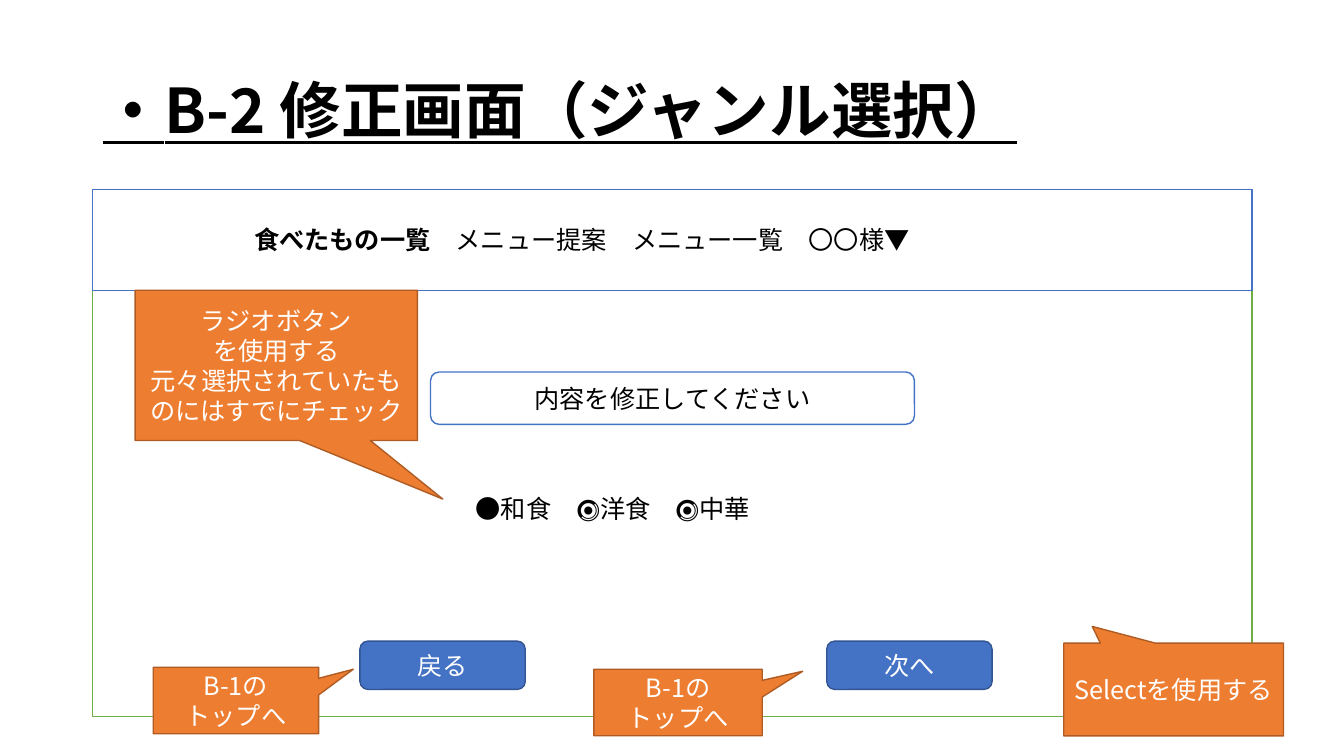
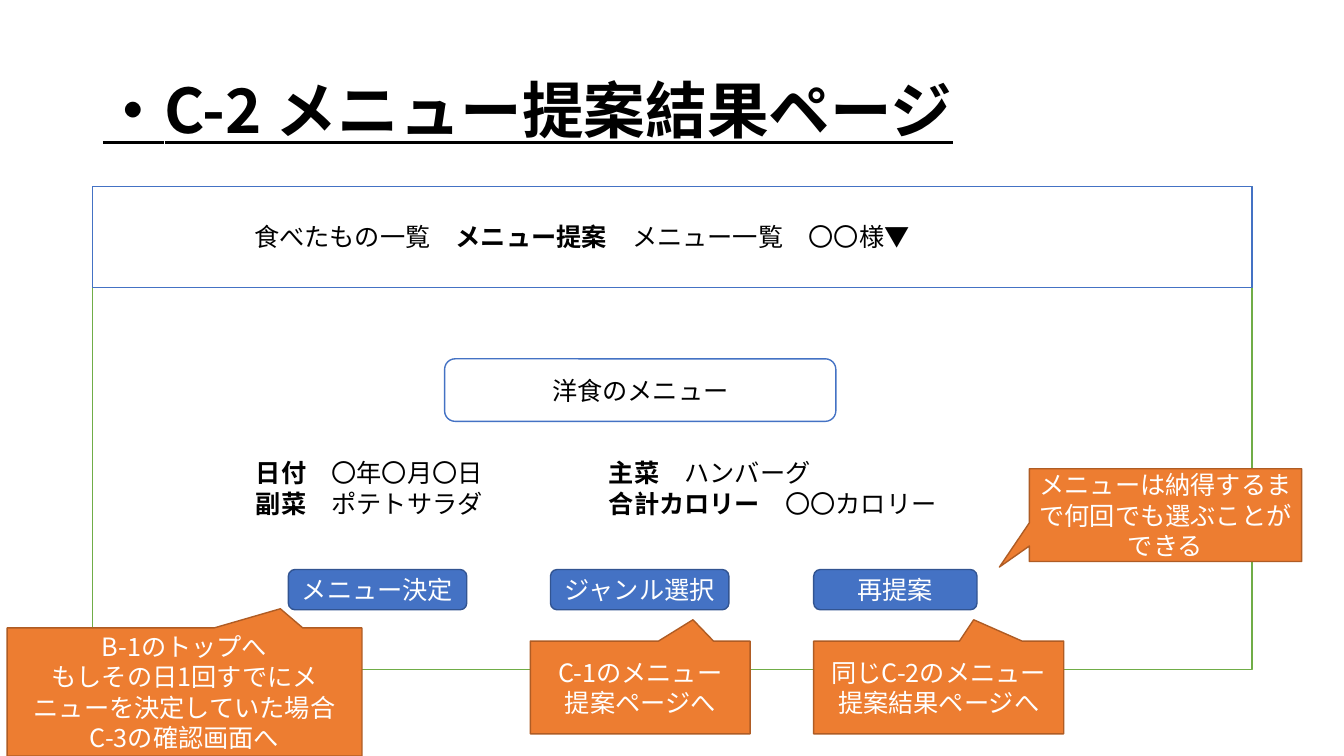
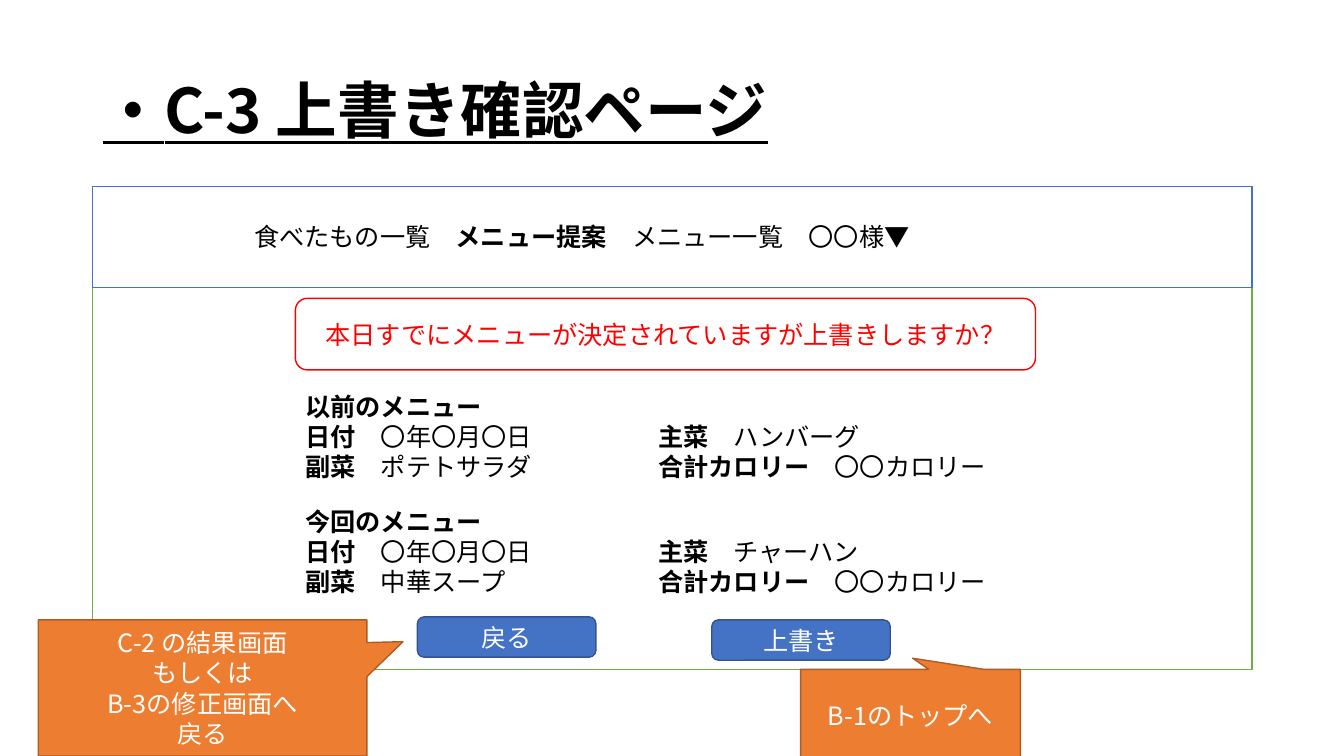
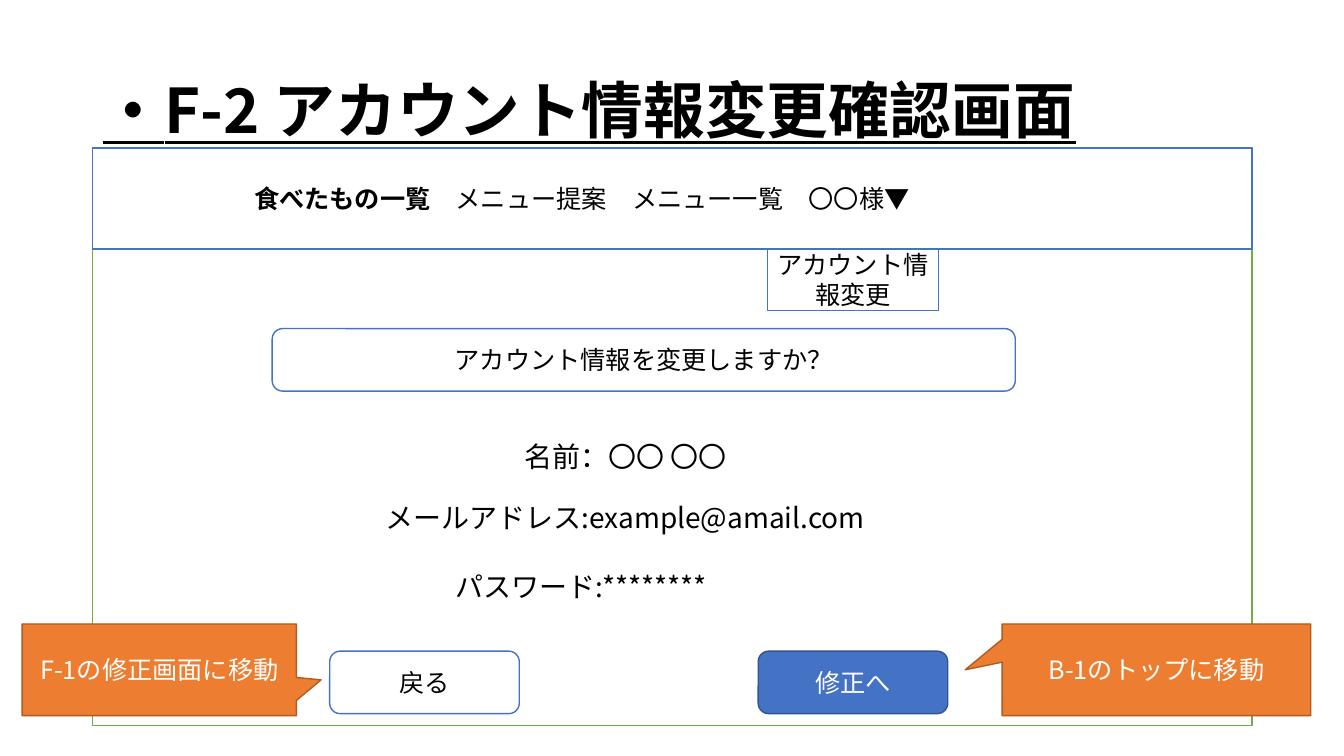
from lxml import etree
from pptx import Presentation
from pptx.dml.color import RGBColor
from pptx.enum import shapes, text
from pptx.oxml import ns
from pptx.util import Inches, Pt

FACE = "Noto Sans CJK JP"
BLACK, WHITE, RED = "000000", "FFFFFF", "FF0000"
BLUE, NAVY, GREEN = "4472C4", "325491", "70AD47"
RUST, BROWN = "ED7D31", "AF5C24"
KIND = shapes.MSO_SHAPE
LEFT, MID = text.PP_ALIGN.LEFT, text.PP_ALIGN.CENTER
TABS = ["食べたもの一覧", "メニュー提案", "メニュー一覧", "〇〇様▼"]


def paint(code):
    return RGBColor.from_string(code)


class Deck:
    def __init__(self):
        self.prs = Presentation()
        self.prs.slide_width = Inches(13.33)
        self.prs.slide_height = Inches(7.5)
        self.slide = None

    def fill(self, frame, words, ink=BLACK, size=18, align=MID, face=FACE, stop=None):
        frame.word_wrap = True
        for i, line in enumerate(words.split("\n")):
            para = frame.paragraphs[0] if i == 0 else frame.add_paragraph()
            para.alignment = align
            if stop:
                tabs = etree.SubElement(para._p.get_or_add_pPr(), ns.qn("a:tabLst"))
                etree.SubElement(tabs, ns.qn("a:tab"), pos=str(Inches(stop)), algn="l")
            for j, piece in enumerate(line.split("|")):
                if piece:
                    run = para.add_run()
                    run.text = piece
                    font = run.font
                    font.size, font.name, font.bold = Pt(size), face, j % 2 == 1
                    font.color.rgb = paint(ink)
                    etree.SubElement(font._element, ns.qn("a:ea"), typeface=FACE)

    def shape(self, kind, box, fill, line, words="", ink=BLACK, align=MID, face=FACE):
        item = self.slide.shapes.add_shape(kind, *map(Inches, box))
        item.shadow.inherit = False
        item.fill.solid()
        item.fill.fore_color.rgb = paint(fill)
        item.line.color.rgb = paint(line)
        item.line.width = Pt(1)
        item.text_frame.vertical_anchor = text.MSO_ANCHOR.MIDDLE
        if words:
            self.fill(item.text_frame, words, ink, align=align, face=face)
        return item

    def page(self, title, top, high, tab):
        self.slide = self.prs.slides.add_slide(self.prs.slide_layouts[5])
        head = self.slide.shapes.title
        head.left, head.top, head.width, head.height = map(Inches, (0.92, 0.4, 11.5, 1.45))
        frame = head.text_frame
        frame.auto_size = text.MSO_AUTO_SIZE.NONE
        frame.vertical_anchor = text.MSO_ANCHOR.MIDDLE
        self.fill(frame, f"|{title}", size=44, align=LEFT)
        para = frame.paragraphs[0]
        para.line_spacing = 0.9
        para.runs[0].font.underline = True
        self.shape(KIND.RECTANGLE, (0.92, top, 11.5, high), WHITE, GREEN)
        words = "　".join(f"|{name}|" if name == tab else name for name in TABS)
        bar = self.shape(KIND.RECTANGLE, (0.92, top, 11.5, 1), WHITE, BLUE, words, align=LEFT)
        bar.text_frame.margin_left = Inches(1.6)

    def button(self, words, *box):
        self.shape(KIND.ROUNDED_RECTANGLE, box, BLUE, NAVY, words, WHITE)

    def panel(self, words, *box, line=BLUE, ink=BLACK):
        self.shape(KIND.ROUNDED_RECTANGLE, box, WHITE, line, words, ink)

    def note(self, words, tip, *box, face=FACE):
        item = self.shape(KIND.RECTANGULAR_CALLOUT, box, RUST, BROWN, words, WHITE, face=face)
        item.adjustments[0], item.adjustments[1] = tip

    def label(self, words, *box, size=18, stop=None):
        item = self.slide.shapes.add_textbox(*map(Inches, box))
        self.fill(item.text_frame, words, size=size, align=LEFT, stop=stop)

    def menu(self, left, top, main, side, head=""):
        start = f"|{head}\n" if head else ""
        self.label(f"{start}|日付　|〇年〇月〇日\t|主菜　|{main}\n"
                   f"|副菜　|{side}\t|合計カロリー　|〇〇カロリー",
                   left, top, 7.77, 1.01 if head else 0.71, stop=3.5)


def edit(deck):
    deck.page("・B-2 修正画面（ジャンル選択）", 1.88, 5.23, TABS[0])
    deck.panel("内容を修正してください", 4.27, 3.69, 4.8, 0.52)
    deck.label("●和食　🔘洋食　🔘中華", 4.62, 4.84, 3.67, 0.4)
    for words, left in (("戻る", 3.57), ("次へ", 8.2)):
        deck.button(words, left, 6.36, 1.64, 0.48)
    deck.note("Selectを使用する", (-0.37, -0.68), 10.55, 6.38, 2.18, 0.92)
    deck.note("B-1の\nトップへ", (0.71, -0.47), 1.52, 6.62, 1.64, 0.66)
    deck.note("B-1の\nトップへ", (0.74, -0.47), 5.89, 6.64, 1.67, 0.66)
    deck.note("ラジオボタン\nを使用する\n元々選択されていたものにはすでにチェック",
              (0.59, 0.89), 1.34, 2.88, 2.8, 1.49)


def offer(deck):
    deck.page("・C-2 メニュー提案結果ページ", 1.85, 4.79, TABS[1])
    deck.panel("洋食のメニュー", 4.41, 3.56, 3.88, 0.62)
    deck.menu(2.44, 4.49, "ハンバーグ", "ポテトサラダ")
    for words, left, wide in (("メニュー決定", 2.86, 1.77), ("ジャンル選択", 5.46, 1.77),
                              ("再提案", 8.07, 1.62)):
        deck.button(words, left, 5.65, wide, 0.4)
    deck.note("B-1のトップへ\nもしその日1回すでにメニューを決定していた場合\nC-3の確認画面へ",
              (0.27, -0.65), 0.07, 6.23, 3.52, 1.27)
    deck.note("C-1のメニュー\n提案ページへ", (0.24, -0.73), 5.26, 6.36, 2.18, 0.92)
    deck.note("同じC-2のメニュー\n提案結果ページへ", (0.14, -0.73), 8.07, 6.36, 2.48, 0.92)
    deck.note("メニューは納得するまで何回でも選ぶことができる", (-0.61, 0.56),
              10.21, 4.65, 2.7, 0.92, face="Open Sans")


def check(deck):
    deck.page("・C-3 上書き確認ページ", 1.85, 4.79, TABS[1])
    deck.panel("本日すでにメニューが決定されていますが上書きしますか？",
               2.93, 2.96, 7.34, 0.71, line=RED, ink=RED)
    deck.menu(2.93, 3.83, "ハンバーグ", "ポテトサラダ", "以前のメニュー")
    deck.menu(2.93, 4.97, "チャーハン", "中華スープ", "今回のメニュー")
    deck.button("戻る", 4.14, 6.12, 1.77, 0.4)
    deck.button("上書き", 7.06, 6.15, 1.77, 0.4)
    deck.note("C-2 の結果画面\nもしくは\nB-3の修正画面へ\n戻る",
              (0.61, -0.34), 0.38, 6.15, 3.26, 1.35)
    deck.note("B-1のトップへ", (0.01, -0.62), 7.94, 6.64, 2.18, 0.92)


def account(deck):
    deck.page("・F-2 アカウント情報変更確認画面", 1.47, 5.73, TABS[0])
    deck.shape(KIND.RECTANGLE, (7.61, 2.47, 1.7, 0.61), WHITE, BLUE, "アカウント情報変更")
    deck.panel("アカウント情報を変更しますか？", 2.7, 3.26, 7.37, 0.62)
    for words, left, top, wide in (("名前：〇〇 〇〇", 5.1, 4.31, 4.97),
                                   ("メールアドレス:example@amail.com", 3.72, 4.92, 5.89),
                                   ("パスワード:********", 4.42, 5.6, 4.97)):
        deck.label(words, left, top, wide, 0.44, size=20)
    deck.panel("戻る", 3.27, 6.46, 1.88, 0.62)
    deck.button("修正へ", 7.52, 6.46, 1.88, 0.62)
    deck.note("F-1の修正画面に移動", (0.59, 0.11), 0.22, 6.19, 2.72, 0.91)
    deck.note("B-1のトップに移動", (-0.62, 0), 9.94, 6.19, 3.06, 0.91)


def main():
    deck = Deck()
    for build in (edit, offer, check, account):
        build(deck)
    deck.prs.save("out.pptx")


if __name__ == "__main__":
    main()
